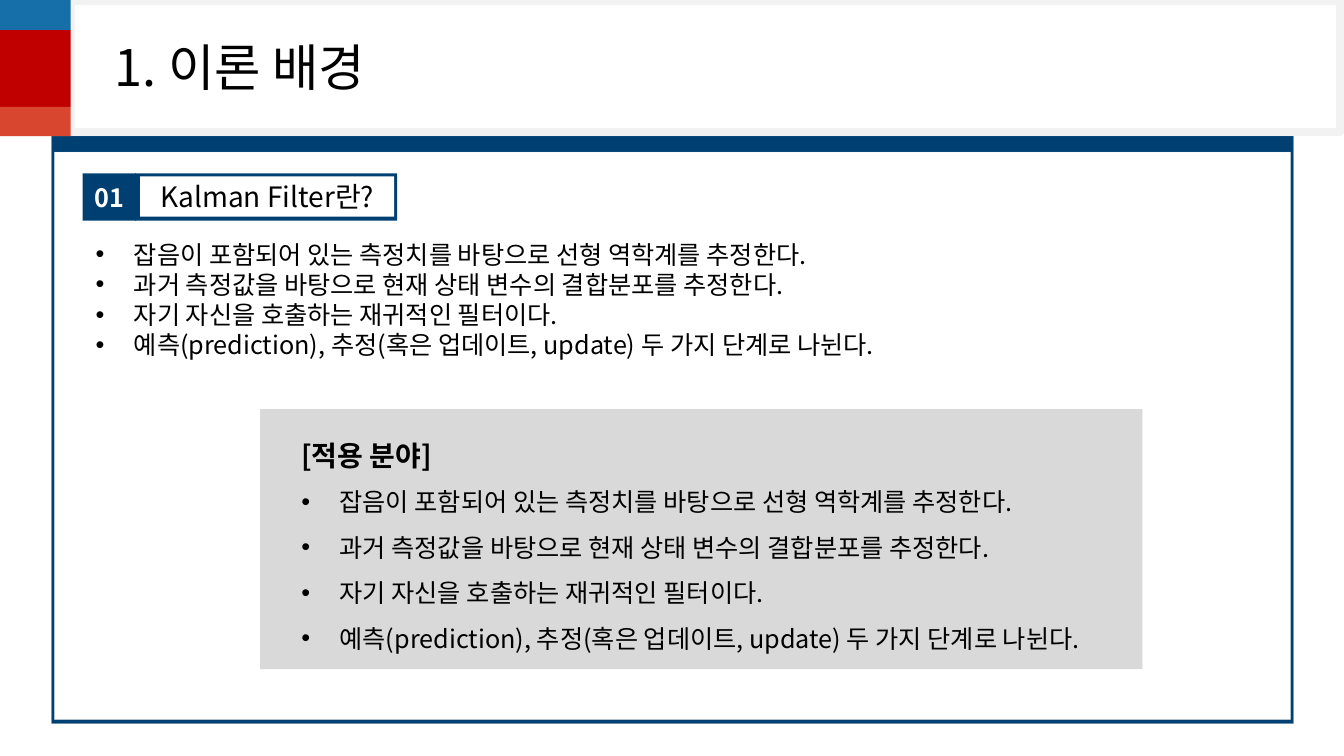
from lxml.etree import SubElement
from pptx import Presentation
from pptx.dml.color import RGBColor
from pptx.enum.shapes import MSO_SHAPE
from pptx.enum.text import MSO_ANCHOR, PP_ALIGN
from pptx.oxml.ns import qn
from pptx.util import Inches, Pt

FONT = "Noto Sans CJK KR"
WHITE = RGBColor(0xFF, 0xFF, 0xFF)
BLACK = RGBColor(0x00, 0x00, 0x00)
GREY = RGBColor(0xD9, 0xD9, 0xD9)
FRAME = RGBColor(0x00, 0x40, 0x73)
NAVY = RGBColor(0x00, 0x3F, 0x72)
BLUE = RGBColor(0x17, 0x6F, 0xAA)
RED = RGBColor(0xC0, 0x00, 0x00)
ORANGE = RGBColor(0xD8, 0x46, 0x30)

POINTS = [
    "잡음이 포함되어 있는 측정치를 바탕으로 선형 역학계를 추정한다.",
    "과거 측정값을 바탕으로 현재 상태 변수의 결합분포를 추정한다.",
    "자기 자신을 호출하는 재귀적인 필터이다.",
    "예측(prediction), 추정(혹은 업데이트, update) 두 가지 단계로 나뉜다.",
]

prs = Presentation()
prs.slide_width, prs.slide_height = Inches(13.33), Inches(7.5)
slide = prs.slides.add_slide(prs.slide_layouts[6])


def add_box(x, y, w, h, fill, kind=MSO_SHAPE.RECTANGLE):
    box = slide.shapes.add_shape(kind, Inches(x), Inches(y), Inches(w), Inches(h))
    box.shadow.inherit = False
    box.fill.solid()
    box.fill.fore_color.rgb = fill
    box.line.fill.background()
    return box


def set_text(para, text, size, color=BLACK, bold=False):
    para.text = text
    font = para.runs[0].font
    font.name, font.size, font.bold = FONT, Pt(size), bold
    font.color.rgb = color
    SubElement(font._element, qn("a:ea"), typeface=FONT)


# Content frame: a white panel on a navy one
for x, y, w, h, fill in [(0.51, 1.35, 12.32, 5.83, FRAME), (0.54, 1.51, 12.26, 5.63, WHITE)]:
    panel = add_box(x, y, w, h, fill, MSO_SHAPE.ROUNDED_RECTANGLE)
    panel.adjustments[0] = 0
    panel.line.color.rgb = GREY
    panel.line.width = Pt(0.25)
    tint = panel.line.fill._xPr.find(".//" + qn("a:srgbClr"))
    SubElement(tint, qn("a:alpha"), val="43000")

# Title bar and colour strip
title = add_box(0.7, 0.01, 12.59, 1.3, WHITE)
title.line.color.rgb = RGBColor(0xF2, 0xF2, 0xF2)
title.line.width = Pt(6)
title.text_frame.margin_left = Inches(0.44)
title.text_frame.vertical_anchor = MSO_ANCHOR.MIDDLE
set_text(title.text_frame.paragraphs[0], "1. 이론 배경", 36)
title.text_frame.paragraphs[0].alignment = PP_ALIGN.LEFT

for y, h, fill in [(-0.01, 0.31, BLUE), (0.3, 0.76, RED), (1.06, 0.29, ORANGE)]:
    add_box(-0.01, y, 0.71, h, fill)

# Section heading
add_box(1.34, 1.72, 2.6, 0.47, NAVY)
label = add_box(1.39, 1.75, 2.52, 0.4, WHITE)
number = add_box(0.82, 1.72, 0.53, 0.47, NAVY)
set_text(label.text_frame.paragraphs[0], "Kalman Filter란?", 20)
set_text(number.text_frame.paragraphs[0], "01", 18, WHITE, True)
for box in (label, number):
    box.text_frame.vertical_anchor = MSO_ANCHOR.MIDDLE
    box.text_frame.paragraphs[0].alignment = PP_ALIGN.CENTER

# Bullet lists, the second under a heading on a grey panel
add_box(2.58, 4.06, 8.75, 2.58, GREY)
for x, y, w, h, head, space in [
    (0.35, 2.32, 9.7, 1.31, None, 1.0),
    (2.39, 4.13, 8.9, 2.36, "[적용 분야]", 1.5),
]:
    frame = slide.shapes.add_textbox(Inches(x), Inches(y), Inches(w), Inches(h)).text_frame
    frame.word_wrap = True
    para = frame.paragraphs[0]
    if head:
        set_text(para, head, 20, bold=True)
        para.line_spacing = space
        para.level = 1
        props = para._p.get_or_add_pPr()
        props.set("marL", str(Inches(0.5)))
        props.set("indent", "0")
    for i, point in enumerate(POINTS):
        if head or i:
            para = frame.add_paragraph()
        set_text(para, point, 18)
        para.line_spacing = space
        para.level = 1
        props = para._p.get_or_add_pPr()
        props.set("marL", str(Inches(0.88)))
        props.set("indent", str(Inches(-0.38)))
        SubElement(props, qn("a:buFont"), typeface="Arial")
        SubElement(props, qn("a:buChar"), char="•")

prs.save("out.pptx")
